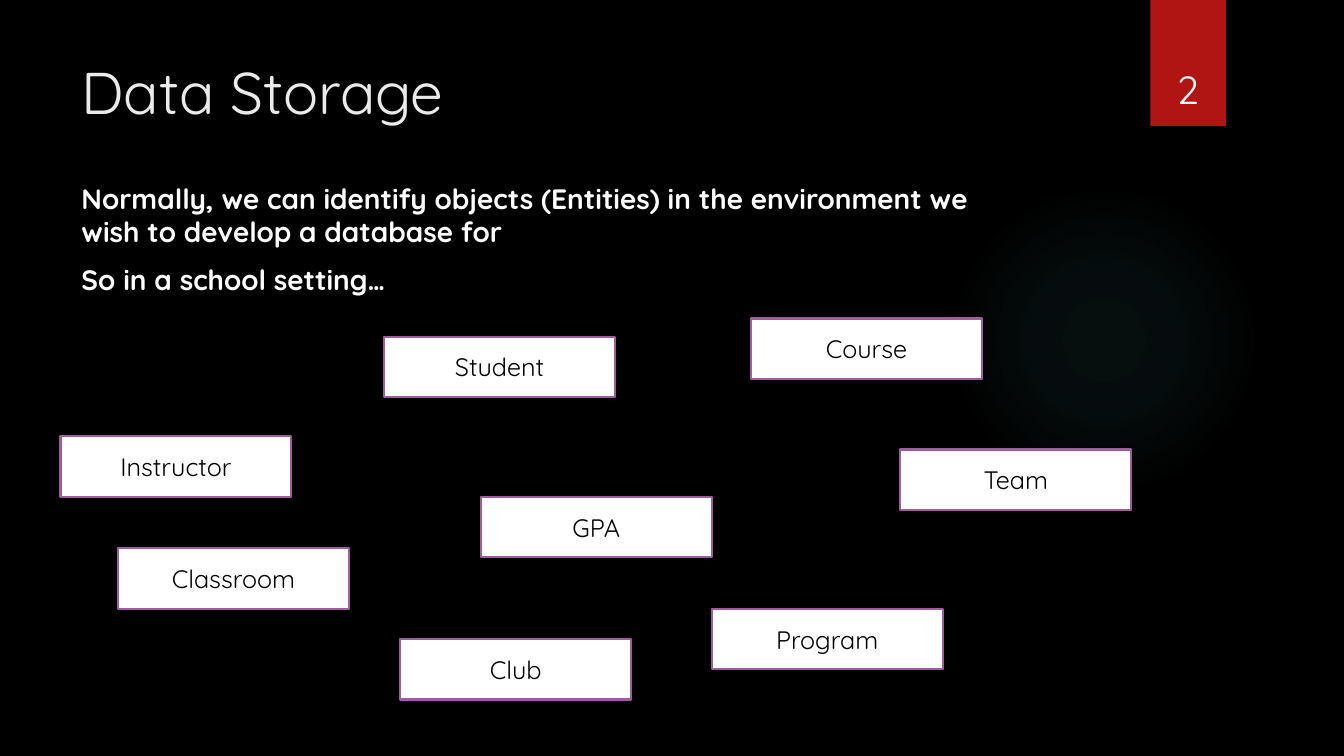
from pptx import Presentation, oxml, util as u
from pptx.dml.color import RGBColor
from pptx.enum import shapes, text

HUES = {"back": "000000", "glow": "50B9C1", "flag": "B01513", "title": "EBEBEB",
        "white": "FFFFFF", "edge": "9E5E9B", "ink": "000000"}
FONT = "Quicksand"
CARD = (2.29, 0.6)
CARDS = {"Instructor": (0.6, 4.33), "Student": (3.81, 3.34), "Course": (7.45, 3.16),
         "Classroom": (1.17, 5.44), "Club": (3.97, 6.34), "Program": (7.06, 6.04),
         "Team": (8.93, 4.46), "GPA": (4.77, 4.93)}
BODY = ["Normally, we can identify objects (Entities) in the environment we "
        "wish to develop a database for", "So in a school setting…"]
NS = "http://schemas.openxmlformats.org/drawingml/2006/main"


def hue(name):
    """Return the named colour."""
    return RGBColor.from_string(HUES[name])


def apply(item, form):
    """Set each attribute of the item from a dict."""
    for key, value in form.items():
        setattr(item, key, value)


def write(shape, lines, size, color, bold=False, frame=None, para=None):
    """Fill a shape with styled paragraphs."""
    body = shape.text_frame
    apply(body, {"word_wrap": True, **(frame or {})})
    for i, line in enumerate(lines):
        row = body.add_paragraph() if i else body.paragraphs[0]
        apply(row, para or {})
        run = row.add_run()
        run.text = line
        apply(run.font, {"name": FONT, "size": u.Pt(size), "bold": bold})
        run.font.color.rgb = hue(color)


def label(slide, box, lines, size, color, **form):
    """Add a text box."""
    area = slide.shapes.add_textbox(*map(u.Inches, box))
    write(area, lines, size, color, **form)


def block(slide, box, fill, kind=shapes.MSO_SHAPE.RECTANGLE):
    """Add a flat shape without a line."""
    shape = slide.shapes.add_shape(kind, *map(u.Inches, box))
    shape.shadow.inherit = False
    shape.line.fill.background()
    shape.fill.solid()
    shape.fill.fore_color.rgb = hue(fill)
    return shape


def glow(slide, box):
    """Add a round glow that fades outwards."""
    shape = block(slide, box, "glow", shapes.MSO_SHAPE.OVAL)
    stops = "".join(
        f'<a:gs pos="{pos * 1000}"><a:srgbClr val="{HUES["glow"]}">'
        f'<a:alpha val="{alpha * 1000}"/></a:srgbClr></a:gs>'
        for pos, alpha in [(0, 7), (36, 6), (69, 0), (100, 0)])
    grad = oxml.parse_xml(
        f'<a:gradFill xmlns:a="{NS}" rotWithShape="1"><a:gsLst>{stops}</a:gsLst>'
        '<a:path path="circle"><a:fillToRect l="50000" t="50000" r="50000" b="50000"/>'
        '</a:path></a:gradFill>')
    props = shape.fill._xPr
    props.replace(props.find(f"{{{NS}}}solidFill"), grad)


def flag(slide, box):
    """Add the ribbon with the page number."""
    left, top, wide, high = box
    block(slide, box, "flag")
    label(slide, (left - 0.09, top + 0.32, 0.92, 0.84), ["2"], 28, "white",
          frame={"vertical_anchor": text.MSO_ANCHOR.BOTTOM},
          para={"alignment": text.PP_ALIGN.CENTER})


def card(slide, box, name):
    """Add one entity card."""
    shape = block(slide, box, "white")
    shape.line.color.rgb = hue("edge")
    shape.line.width = u.Pt(1.5)
    write(shape, [name], 18, "ink",
          frame={"vertical_anchor": text.MSO_ANCHOR.MIDDLE},
          para={"alignment": text.PP_ALIGN.CENTER})


def main():
    """Build and save the slide."""
    deck = Presentation()
    apply(deck, {"slide_width": u.Inches(13.33), "slide_height": u.Inches(7.5)})
    slide = deck.slides.add_slide(deck.slide_layouts[6])
    slide.background.fill.solid()
    slide.background.fill.fore_color.rgb = hue("back")
    glow(slide, (9.41, 1.83, 3.08, 3.08))
    flag(slide, (11.41, 0, 0.75, 1.25))
    label(slide, (0.71, 0.5, 10.29, 1.53), ["Data Storage"], 42, "title")
    label(slide, (0.71, 1.75, 9.51, 1.41), BODY, 20, "white", bold=True,
          para={"space_before": u.Pt(10)})
    for name, spot in CARDS.items():
        card(slide, spot + CARD, name)
    deck.save("out.pptx")


if __name__ == "__main__":
    main()
